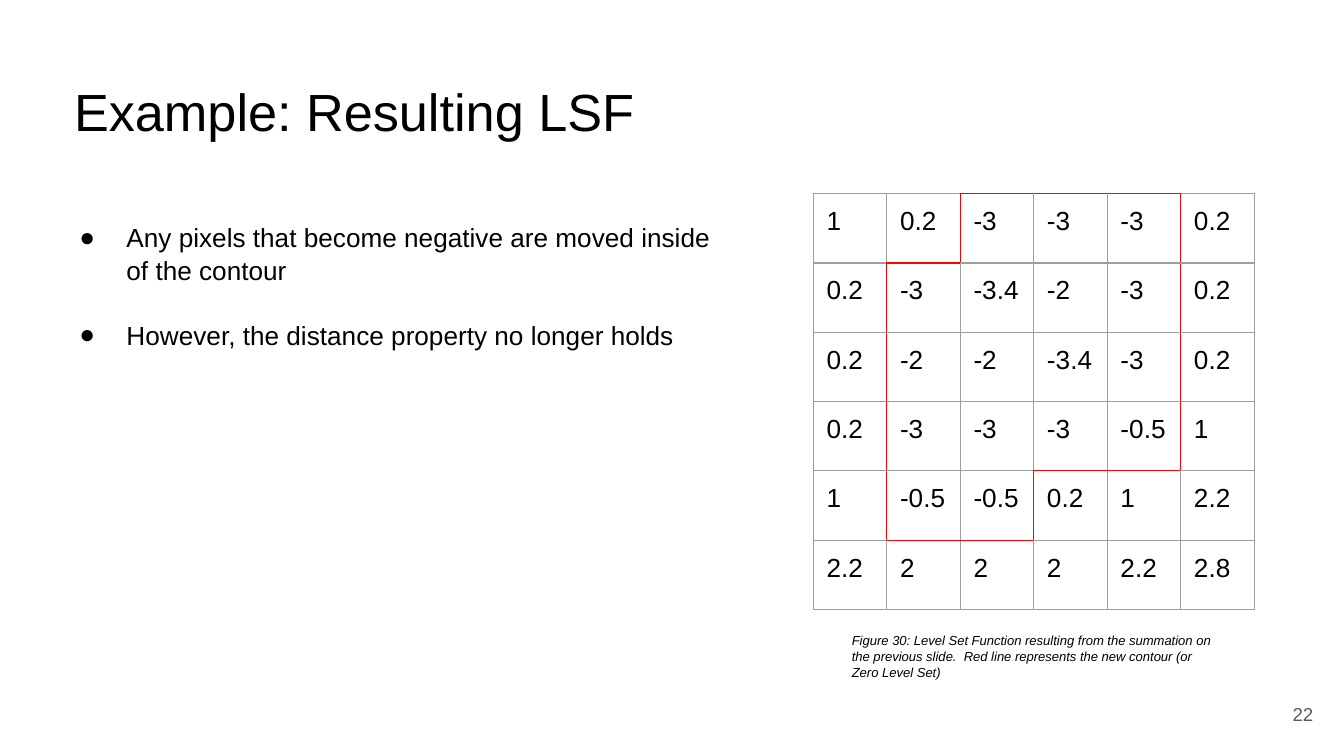
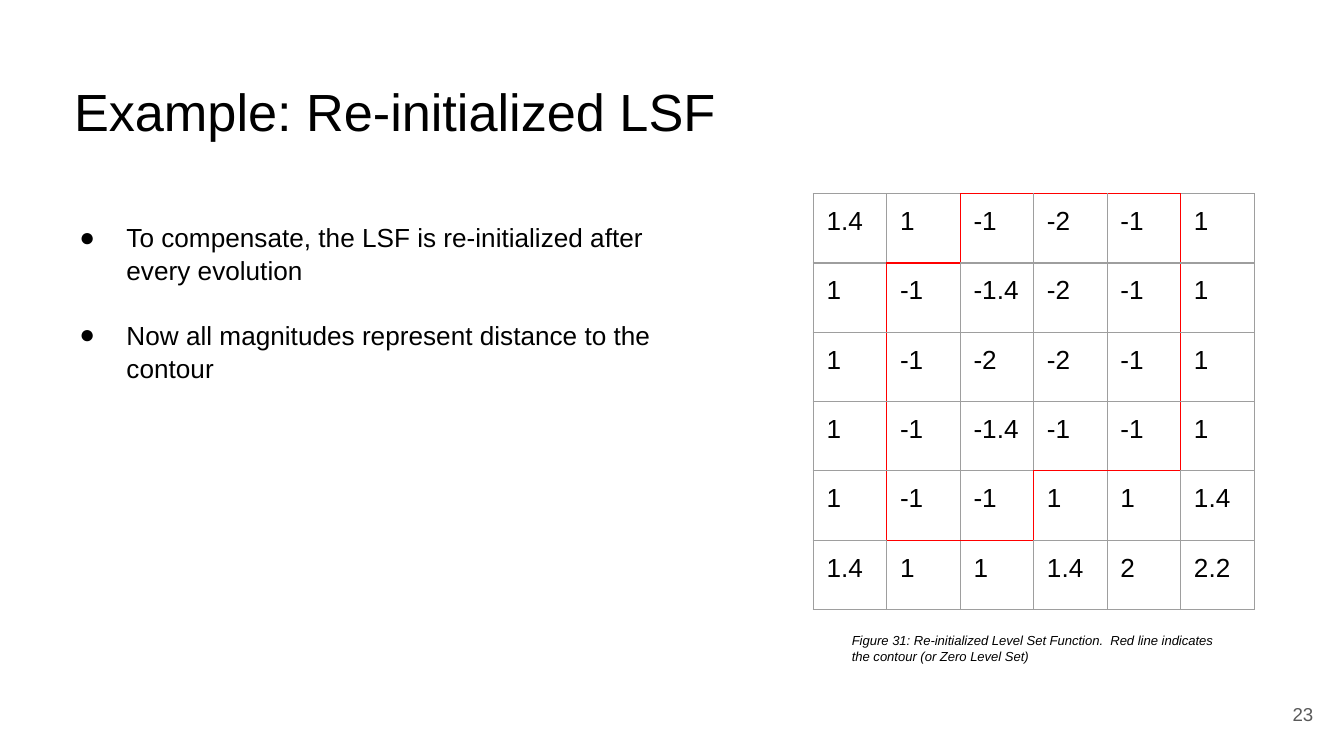
from lxml.etree import SubElement
from pptx import Presentation
from pptx.dml.color import RGBColor
from pptx.enum.text import MSO_ANCHOR, MSO_AUTO_SIZE, PP_ALIGN
from pptx.oxml.ns import qn
from pptx.util import Cm, Pt

BLACK = RGBColor(0x00, 0x00, 0x00)
GREY = RGBColor(0x59, 0x59, 0x59)
GRID_GREY = RGBColor(0x9E, 0x9E, 0x9E)
CONTOUR_RED = RGBColor(0xFF, 0x00, 0x00)
FONT = "Arial"
INSET = Cm(0.25)
COLUMN_WIDTH = Cm(1.39)
ROW_HEIGHT = Cm(1.31)
# Border tag with the row and column step to the neighbour on that side
SIDES = [("a:lnL", 0, -1), ("a:lnR", 0, 1), ("a:lnT", -1, 0), ("a:lnB", 1, 0)]

SLIDES = [
    {
        "number": "22",
        "title": "Example: Resulting LSF",
        "bullets": [
            "Any pixels that become negative are moved inside of the contour",
            "However, the distance property no longer holds",
        ],
        "level_set": [
            ["1", "0.2", "-3", "-3", "-3", "0.2"],
            ["0.2", "-3", "-3.4", "-2", "-3", "0.2"],
            ["0.2", "-2", "-2", "-3.4", "-3", "0.2"],
            ["0.2", "-3", "-3", "-3", "-0.5", "1"],
            ["1", "-0.5", "-0.5", "0.2", "1", "2.2"],
            ["2.2", "2", "2", "2", "2.2", "2.8"],
        ],
        "caption": "Figure 30: Level Set Function resulting from the summation on "
                   "the previous slide.  Red line represents the new contour "
                   "(or Zero Level Set)",
    },
    {
        "number": "23",
        "title": "Example: Re-initialized LSF",
        "bullets": [
            "To compensate, the LSF is re-initialized after every evolution",
            "Now all magnitudes represent distance to the contour",
        ],
        "level_set": [
            ["1.4", "1", "-1", "-2", "-1", "1"],
            ["1", "-1", "-1.4", "-2", "-1", "1"],
            ["1", "-1", "-2", "-2", "-1", "1"],
            ["1", "-1", "-1.4", "-1", "-1", "1"],
            ["1", "-1", "-1", "1", "1", "1.4"],
            ["1.4", "1", "1", "1.4", "2", "2.2"],
        ],
        "caption": "Figure 31: Re-initialized Level Set Function.  Red line "
                   "indicates the contour (or Zero Level Set)",
    },
]


def add_run(paragraph, text, size, color=BLACK, italic=False):
    run = paragraph.add_run()
    run.text = text
    run.font.name = FONT
    run.font.size = Pt(size)
    run.font.color.rgb = color
    run.font.italic = italic


def place(shape, left, top, width, height, anchor=MSO_ANCHOR.TOP):
    """Position a text shape in centimetres, set its frame and return the frame."""
    shape.left, shape.top = Cm(left), Cm(top)
    shape.width, shape.height = Cm(width), Cm(height)
    frame = shape.text_frame
    frame.word_wrap = True
    frame.auto_size = MSO_AUTO_SIZE.NONE
    frame.vertical_anchor = anchor
    frame.margin_left = frame.margin_right = INSET
    frame.margin_top = frame.margin_bottom = INSET
    return frame


presentation = Presentation()
presentation.slide_width = Cm(25.4)
presentation.slide_height = Cm(14.29)
layout = presentation.slide_layouts.get_by_name("Title and Content")

for content in SLIDES:
    slide = presentation.slides.add_slide(layout)

    frame = place(slide.shapes.title, 0.87, 1.24, 23.67, 1.6)
    frame.margin_left = Cm(0.53)
    paragraph = frame.paragraphs[0]
    paragraph.alignment = PP_ALIGN.LEFT
    add_run(paragraph, content["title"], 28)

    number_box = slide.shapes.add_textbox(0, 0, 0, 0)
    frame = place(number_box, 23.55, 12.95, 1.52, 1.09, MSO_ANCHOR.MIDDLE)
    paragraph = frame.paragraphs[0]
    paragraph.alignment = PP_ALIGN.RIGHT
    add_run(paragraph, content["number"], 10, GREY)

    level_set = content["level_set"]
    row_count, column_count = len(level_set), len(level_set[0])
    table = slide.shapes.add_table(
        row_count, column_count, Cm(15.37), Cm(3.66),
        COLUMN_WIDTH * column_count, ROW_HEIGHT * row_count).table
    table.first_row = False
    table.horz_banding = False
    for column in table.columns:
        column.width = COLUMN_WIDTH
    for row in table.rows:
        row.height = ROW_HEIGHT

    # Negative values lie inside the contour
    inside = {(r, c) for r, values in enumerate(level_set)
              for c, value in enumerate(values) if float(value) < 0}
    for r, values in enumerate(level_set):
        for c, value in enumerate(values):
            cell = table.cell(r, c)
            cell.margin_left = cell.margin_right = INSET
            cell.margin_top = cell.margin_bottom = INSET
            add_run(cell.text_frame.paragraphs[0], value, 14)
            properties = cell._tc.get_or_add_tcPr()
            for tag, row_step, column_step in SIDES:
                neighbour = (r + row_step, c + column_step)
                crosses = ((r, c) in inside) != (neighbour in inside)
                color = CONTOUR_RED if crosses else GRID_GREY
                line = SubElement(properties, qn(tag), w=str(Pt(0.75)))
                fill = SubElement(line, qn("a:solidFill"))
                SubElement(fill, qn("a:srgbClr"), val=str(color))
            cell.fill.background()

    frame = place(slide.placeholders[1], 0.87, 3.91, 12.85, 8.86)
    for index, bullet in enumerate(content["bullets"]):
        paragraph = frame.add_paragraph() if index else frame.paragraphs[0]
        properties = paragraph._p.get_or_add_pPr()
        properties.set("marL", str(Cm(1.27)))
        properties.set("indent", str(Cm(-0.89)))
        bullet_color = SubElement(properties, qn("a:buClr"))
        SubElement(bullet_color, qn("a:srgbClr"), val=str(BLACK))
        SubElement(properties, qn("a:buChar"), char="●")
        paragraph.line_spacing = 1.05
        paragraph.space_before = Pt(17 if index else 0)
        add_run(paragraph, bullet, 14)

    caption_box = slide.shapes.add_textbox(0, 0, 0, 0)
    frame = place(caption_box, 15.85, 11.71, 7.37, 0.99)
    add_run(frame.paragraphs[0], content["caption"], 7, italic=True)

presentation.save("out.pptx")
